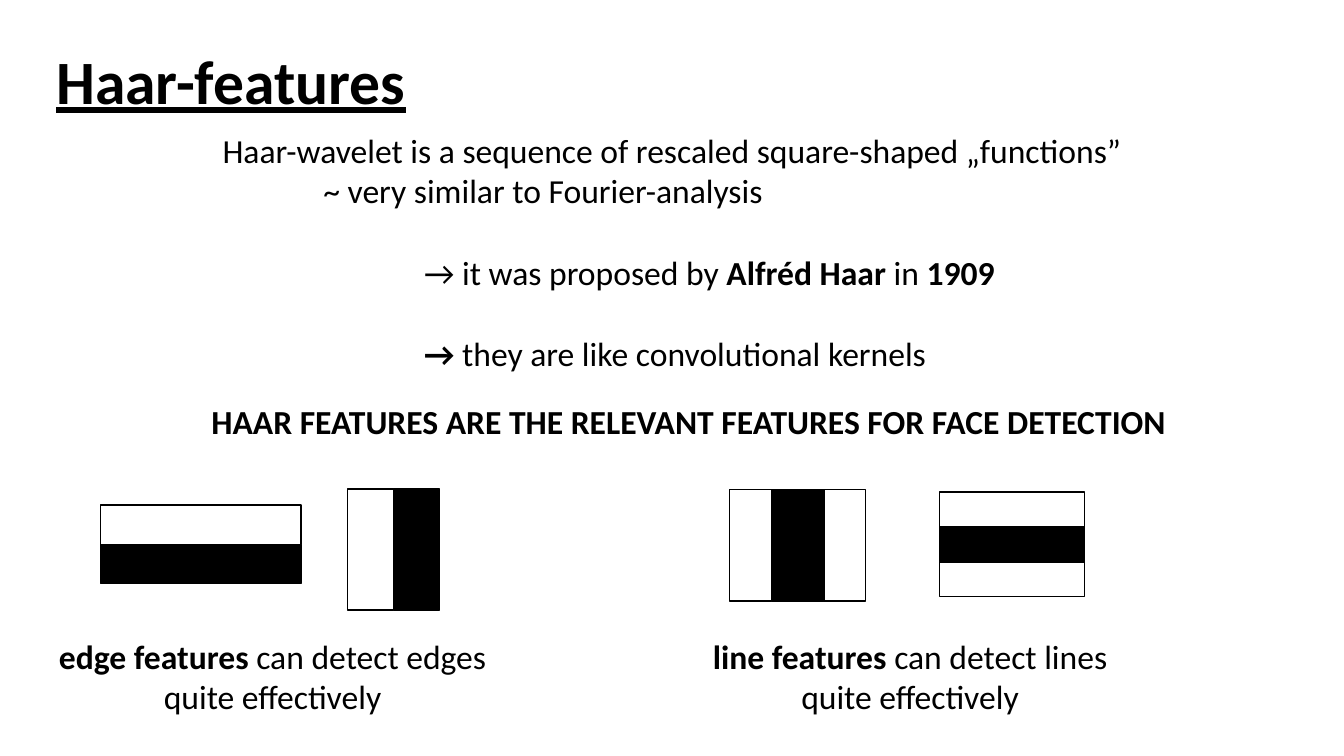
"""Builds the slide that introduces Haar features."""
from dataclasses import dataclass
from itertools import cycle

from pptx import Presentation
from pptx.dml.color import RGBColor
from pptx.enum.shapes import MSO_SHAPE
from pptx.enum.text import MSO_ANCHOR, PP_ALIGN
from pptx.util import Cm, Pt


@dataclass(frozen=True)
class Theme:
    font: str = "Calibri"
    black: RGBColor = RGBColor(0, 0, 0)
    white: RGBColor = RGBColor(255, 255, 255)
    title: Pt = Pt(44)
    body: Pt = Pt(24)
    gap: Pt = Pt(29.3)
    outline: Pt = Pt(1)
    indent: float = 2.54


class SlideBuilder:
    def __init__(self, slide, theme):
        self.slide, self.theme = slide, theme

    def frame(self, box, anchor=MSO_ANCHOR.TOP):
        frame = self.slide.shapes.add_textbox(*map(Cm, box)).text_frame
        frame.word_wrap = True
        frame.vertical_anchor = anchor
        return frame

    def add_runs(self, paragraph, runs, size):
        for text, bold in runs:
            run = paragraph.add_run()
            run.text = text
            font = run.font
            font.name, font.size, font.bold = self.theme.font, size, bold
            font.color.rgb = self.theme.black

    def title(self, box, text):
        paragraph = self.frame(box, MSO_ANCHOR.MIDDLE).paragraphs[0]
        paragraph.line_spacing = 0.9
        self.add_runs(paragraph, [(text, True)], self.theme.title)
        paragraph.runs[0].font.underline = True

    def text(self, box, lines, align=PP_ALIGN.LEFT):
        frame = self.frame(box)
        for number, (indent, spaced, runs) in enumerate(lines):
            paragraph = frame.add_paragraph() if number else frame.paragraphs[0]
            paragraph.alignment = align
            if spaced:
                paragraph.space_before = self.theme.gap
            if indent:
                properties = paragraph._p.get_or_add_pPr()
                properties.set("marL", str(Cm(indent * self.theme.indent)))
                properties.set("indent", "0")
            self.add_runs(paragraph, runs, self.theme.body)

    def caption(self, box, name, rest):
        lines = [(0, False, [(name, True), (rest, False)]),
                 (0, False, [("quite effectively", False)])]
        self.text(box, lines, PP_ALIGN.CENTER)

    def band(self, box, color):
        shape = self.slide.shapes.add_shape(MSO_SHAPE.RECTANGLE, *map(Cm, box))
        shape.shadow.inherit = False
        shape.fill.solid()
        shape.fill.fore_color.rgb = color
        shape.line.color.rgb = self.theme.black
        shape.line.width = self.theme.outline

    def haar_feature(self, box, weights, columns):
        left, top, width, height = box
        colors = cycle((self.theme.white, self.theme.black))
        for weight, color in zip(weights, colors):
            share = weight / sum(weights)
            if columns:
                self.band((left, top, width * share, height), color)
                left += width * share
            else:
                self.band((left, top, width, height * share), color)
                top += height * share


deck = Presentation()
deck.slide_width, deck.slide_height = Cm(33.87), Cm(19.05)
builder = SlideBuilder(deck.slides.add_slide(deck.slide_layouts[6]), Theme())

builder.title((1.17, 0.28, 29.21, 3.68), "Haar-features")
builder.text((5.36, 3.15, 23.8, 6.4), [
    (0, False, [("Haar-wavelet is a sequence of rescaled square-shaped „functions”", False)]),
    (1, False, [("~ very similar to Fourier-analysis", False)]),
    (2, True, [("→ it was proposed by ", False), ("Alfréd Haar ", True),
               ("in ", False), ("1909", True)]),
    (2, True, [("→ ", True), ("they are like convolutional kernels", False)]),
])
builder.text((5.08, 9.98, 25.2, 1.27), [
    (0, False, [("HAAR FEATURES ARE THE RELEVANT FEATURES FOR FACE DETECTION", True)]),
])

HAAR_FEATURES = [
    ((2.54, 12.73, 5.05, 1.98), (1, 1), False),
    ((8.76, 12.32, 2.31, 3.05), (1, 1), True),
    ((18.39, 12.33, 3.43, 2.82), (4, 5, 4), True),
    ((23.67, 12.4, 3.66, 2.64), (1, 1, 1), False),
]
for box, weights, columns in HAAR_FEATURES:
    builder.haar_feature(box, weights, columns)

builder.caption((1.17, 15.9, 11.4, 2.31), "edge features ", "can detect edges")
builder.caption((17.65, 15.9, 10.57, 2.31), "line features ", "can detect lines")

deck.save("out.pptx")
